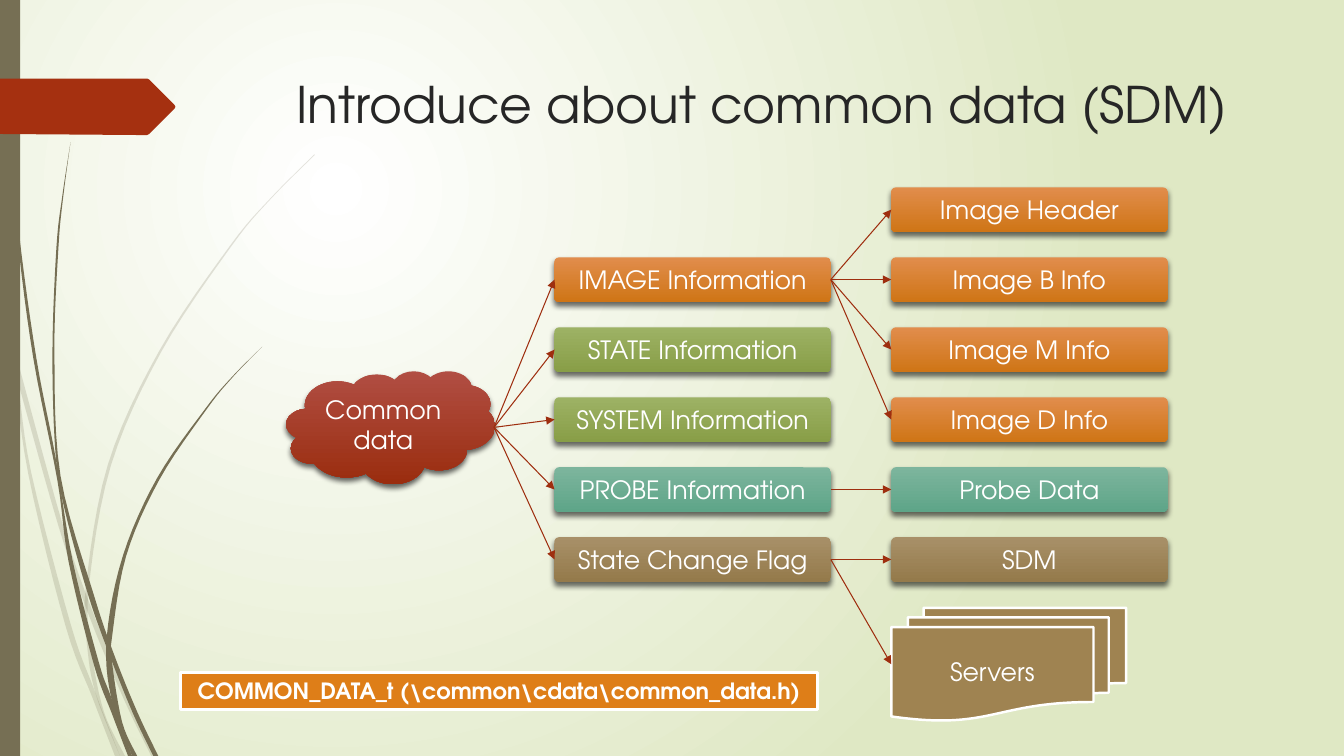
"""Build the slide that introduces the common data (SDM) tree."""
from lxml.etree import SubElement
from pptx import Presentation
from pptx.dml.color import RGBColor
from pptx.enum.shapes import MSO_CONNECTOR as Connector, MSO_SHAPE as Shape
from pptx.enum.text import MSO_ANCHOR as Anchor, PP_ALIGN as Align
from pptx.oxml.ns import qn
from pptx.util import Inches, Pt

WIDTH, HEIGHT = 13.33, 7.5
FONT = "TeX Gyre Adventor"
COLUMNS = (5.5, 8.84)
FIRST_ROW, ROW_STEP = 1.86, 0.694
BOX_WIDTH, BOX_HEIGHT = 2.74, 0.44
CLOUD_TIP = (4.9, 4.24)
ARROW, STALK, TAG = "9E2E0F", "766F54", "A53010"
RED = ("B14E43", "9A2D0F")
ORANGE = ("E18D4C", "CF7516")
GREEN = ("9DB265", "889E47")
TEAL = ("7DB59D", "5EA588")
BROWN = ("A89068", "947A4B")

LABEL = {"size": Pt(18), "name": FONT}
TITLE = {"size": Pt(36), "name": FONT}
FILE_NAME = {"size": Pt(16), "name": FONT, "bold": True}
CENTRED = {"vertical_anchor": Anchor.MIDDLE, "word_wrap": True}
UNWRAPPED = {"vertical_anchor": Anchor.MIDDLE, "word_wrap": False}
TOP = {"vertical_anchor": Anchor.TOP, "word_wrap": True}

BOXES = [
    ("IMAGE Information", 0, 1, ORANGE),
    ("STATE Information", 0, 2, GREEN),
    ("SYSTEM Information", 0, 3, GREEN),
    ("PROBE Information", 0, 4, TEAL),
    ("State Change Flag", 0, 5, BROWN),
    ("Image Header", 1, 0, ORANGE),
    ("Image B Info", 1, 1, ORANGE),
    ("Image M Info", 1, 2, ORANGE),
    ("Image D Info", 1, 3, ORANGE),
    ("Probe Data", 1, 4, TEAL),
    ("SDM", 1, 5, BROWN),
]
BRANCHES = [(1, 0), (1, 1), (1, 2), (1, 3), (4, 4), (5, 5)]

PALE_BLADES = [
    ([(0, 2.82), (0.17, 3.76), (0.31, 4.69), (0.7, 6.19), (0.93, 6.83), (1.19, 7.5)],
     [(1.14, 7.5), (0.92, 6.93), (0.65, 6.21), (0.28, 4.7), (0.11, 3.5), (0, 2.99)]),
    ([(0.14, 3.45), (0.62, 5.2), (0.92, 6.07), (1.27, 6.92), (1.55, 7.5)],
     [(1.5, 7.5), (1.23, 6.94), (0.88, 6.1), (0.58, 5.22), (0.17, 3.76)]),
    ([(3.12, 1.53), (2.68, 1.97), (2.28, 2.44), (1.58, 3.48), (1.07, 4.61),
      (0.85, 5.84), (0.87, 6.46), (0.96, 6.92), (1.19, 7.5)],
     [(1.24, 7.5), (1.03, 7.06), (0.91, 6.46), (0.88, 5.84), (1.1, 4.62),
      (1.6, 3.49), (2.29, 2.45), (2.68, 1.98), (3.12, 1.54)]),
]
DARK_BLADES = [
    ([(0.03, 0), (0.07, 1.1), (0.17, 2.33), (0.33, 3.55), (0.57, 4.77),
      (0.68, 5.57), (0.93, 6.59), (1.11, 7.08), (1.27, 7.5)],
     [(1.31, 7.5), (1.1, 6.91), (0.98, 6.57), (0.72, 5.56), (0.55, 4.53),
      (0.36, 3.55), (0.19, 2.32), (0.08, 1.09), (0.04, 0)]),
    ([(0.7, 1.41), (0.62, 1.93), (0.56, 2.45), (0.52, 3.49), (0.55, 4.49),
      (0.64, 5.05), (0.88, 5.92), (1.11, 6.56), (1.32, 7.08), (1.52, 7.5)],
     [(1.57, 7.5), (1.36, 7.06), (1.13, 6.49), (0.93, 5.9), (0.6, 4.72),
      (0.54, 3.49), (0.58, 2.45), (0.63, 1.93), (0.7, 1.41)]),
    ([(2.6, 3.44), (2.31, 3.73), (2.04, 4.05), (1.56, 4.74), (1.22, 5.51),
      (1.06, 6.31), (1.1, 6.91), (1.31, 7.5)],
     [(1.36, 7.5), (1.21, 7.16), (1.11, 6.56), (1.11, 6.33), (1.25, 5.52),
      (1.58, 4.76), (2.05, 4.06), (2.31, 3.74), (2.6, 3.44)]),
]
TAG_OUTLINE = [(0, 0.78), (1.46, 0.78), (1.48, 0.79), (1.73, 1.04), (1.74, 1.06),
               (1.73, 1.08), (1.48, 1.33), (1.46, 1.34), (1.36, 1.34), (0, 1.33)]


def color(hex_text):
    """Turn a hex string into a colour."""
    return RGBColor.from_string(hex_text)


def apply(target, settings):
    """Set each named attribute on the target."""
    for name, value in settings.items():
        setattr(target, name, value)


def add_child(parent, tag, **attributes):
    """Append a drawing element with its attributes."""
    return SubElement(parent, qn(f"a:{tag}"), attributes)


def paint(shape, fill, line=None):
    """Give a shape a solid or two-colour fill, an optional line and no shadow."""
    if isinstance(fill, tuple):
        shape.fill.gradient()
        shape.fill.gradient_angle = 270
        for stop, shade, position in zip(shape.fill.gradient_stops, fill, (0, 1)):
            apply(stop, {"position": position})
            stop.color.rgb = color(shade)
    else:
        shape.fill.solid()
        shape.fill.fore_color.rgb = color(fill)
    if line:
        shape.line.color.rgb = color(line)
        shape.line.width = Pt(1.75)
    else:
        shape.line.fill.background()
    shape.shadow.inherit = False


def add_shadow(shape):
    """Cast a soft shadow straight down."""
    effects = shape._element.spPr.find(qn("a:effectLst"))
    shadow = add_child(effects, "outerShdw", blurRad=str(Pt(4)), dist=str(Pt(3)),
                       dir="5400000", rotWithShape="0")
    add_child(add_child(shadow, "srgbClr", val="000000"), "alpha", val="60000")


def write(shape, text, font, frame, ink="FFFFFF", align=Align.CENTER):
    """Write one formatted paragraph into a shape."""
    apply(shape.text_frame, frame)
    paragraph = shape.text_frame.paragraphs[0]
    paragraph.alignment = align
    run = paragraph.add_run()
    run.text = text
    apply(run.font, font)
    run.font.color.rgb = color(ink)


def add_node(slide, kind, area, text, fill, line=None, font=LABEL, frame=CENTRED):
    """Add a filled preset shape with a label."""
    shape = slide.shapes.add_shape(kind, *map(Inches, area))
    paint(shape, fill, line)
    if isinstance(fill, tuple):
        add_shadow(shape)
    if text:
        write(shape, text, font, frame)
    return shape


def add_arrow(slide, start, end):
    """Draw a thin arrow between two points."""
    arrow = slide.shapes.add_connector(Connector.STRAIGHT, *map(Inches, (*start, *end)))
    arrow.line.color.rgb = color(ARROW)
    arrow.line.width = Pt(0.75)
    add_child(arrow.line._get_or_add_ln(), "tailEnd", type="triangle")
    add_child(arrow._element.spPr, "effectLst")


def add_outline(slide, points, fill, opacity=100):
    """Draw a closed filled outline."""
    corners = [(Inches(x), Inches(y)) for x, y in points]
    builder = slide.shapes.build_freeform(*corners[0])
    builder.add_line_segments(corners[1:])
    shape = builder.convert_to_shape()
    paint(shape, fill)
    if opacity < 100:
        tint = shape._element.spPr.find(qn("a:solidFill"))[0]
        add_child(tint, "alpha", val=str(opacity * 1000))


def smooth(knots, steps=6):
    """Run a Catmull-Rom curve through the knots."""
    padded = [knots[0], *knots, knots[-1]]
    curve = [knots[0]]
    for a, b, c, d in zip(padded, padded[1:], padded[2:], padded[3:]):
        for t in (step / steps for step in range(1, steps + 1)):
            curve.append(tuple(
                q + t * (r - p) / 2 + t**2 * (p - 2.5 * q + 2 * r - s / 2)
                + t**3 * (3 * (q - r) + s - p) / 2
                for p, q, r, s in zip(a, b, c, d)))
    return curve


def add_background(slide):
    """Fill the slide with a round white-to-green gradient."""
    fill = slide.background.fill
    fill.gradient()
    for stop, shade, position in zip(fill.gradient_stops, ("FFFFFF", "DFE8C4"), (0, 1)):
        stop.position = position
        stop.color.rgb = color(shade)
    gradient = slide._element.find(f".//{qn('a:gradFill')}")
    gradient.remove(gradient.find(qn("a:lin")))
    add_child(add_child(gradient, "path", path="circle"), "fillToRect",
              l="50000", t="50000", r="100000", b="100000")


def add_decoration(slide):
    """Draw the grass blades, the side bar and the title tag."""
    for blades, opacity in ((PALE_BLADES, 20), (DARK_BLADES, 100)):
        for outward, back in blades:
            add_outline(slide, smooth(outward) + smooth(back), STALK, opacity)
    add_node(slide, Shape.RECTANGLE, (0, 0, 0.2, HEIGHT), "", STALK)
    add_outline(slide, TAG_OUTLINE, TAG)


def add_tree(slide):
    """Draw the cloud, the boxes and the arrows between them."""
    def row_top(row):
        return FIRST_ROW + row * ROW_STEP

    def row_middle(row):
        return row_top(row) + BOX_HEIGHT / 2

    add_node(slide, Shape.CLOUD, (2.84, 3.68, 2.07, 1.12), "Common data", RED)
    for text, column, row, fill in BOXES:
        area = (COLUMNS[column], row_top(row), BOX_WIDTH, BOX_HEIGHT)
        box = add_node(slide, Shape.ROUNDED_RECTANGLE, area, text, fill)
        box.adjustments[0] = 0.1
    add_node(slide, Shape.FLOWCHART_MULTIDOCUMENT, (COLUMNS[1], 6.03, 2.33, 1.12),
             "Servers", "9F8351", "FFFFFF")
    for row in range(1, 6):
        add_arrow(slide, CLOUD_TIP, (COLUMNS[0], row_middle(row)))
    branch_x = COLUMNS[0] + BOX_WIDTH
    for source, target in BRANCHES:
        add_arrow(slide, (branch_x, row_middle(source)), (COLUMNS[1], row_middle(target)))
    add_arrow(slide, (branch_x, row_middle(5)), (COLUMNS[1], 6.59))


def main():
    """Build and save the presentation."""
    presentation = Presentation()
    apply(presentation, {"slide_width": Inches(WIDTH), "slide_height": Inches(HEIGHT)})
    slide = presentation.slides.add_slide(presentation.slide_layouts[6])
    add_background(slide)
    add_decoration(slide)
    title = slide.shapes.add_textbox(*map(Inches, (2.84, 0.68, 9.75, 1.4)))
    write(title, "Introduce about common data (SDM)", TITLE, TOP, "262626", Align.LEFT)
    add_tree(slide)
    add_node(slide, Shape.RECTANGLE, (1.79, 6.67, 6.32, 0.37),
             "COMMON_DATA_t (\\common\\cdata\\common_data.h)", "DE7E18", "FFFFFF",
             FILE_NAME, UNWRAPPED)
    presentation.save("out.pptx")


if __name__ == "__main__":
    main()
